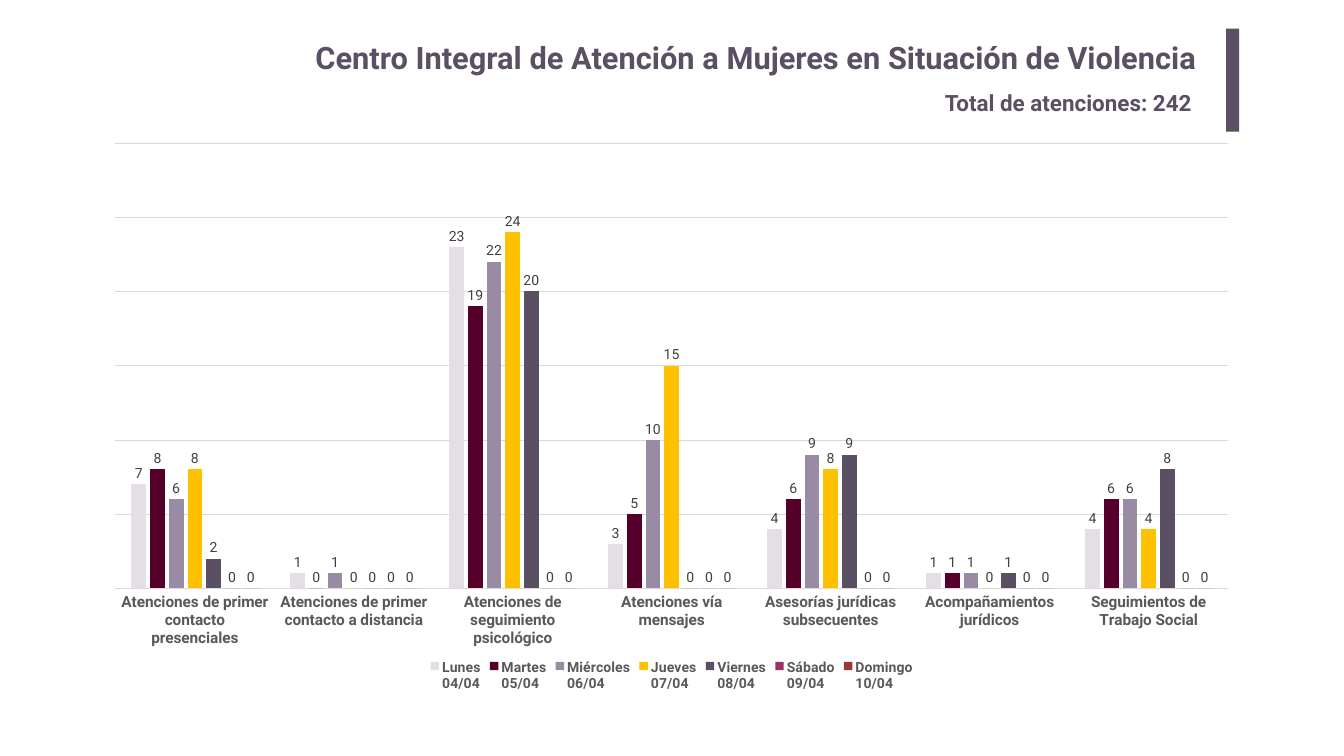
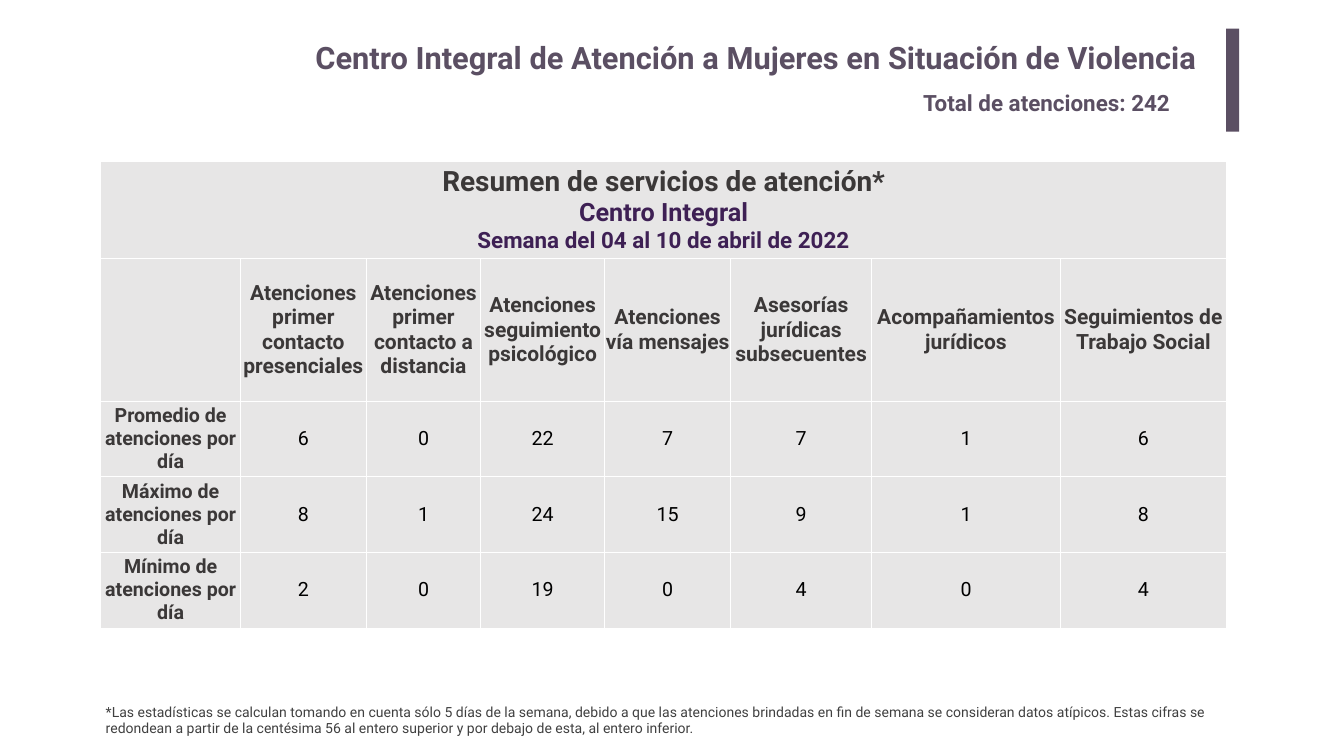
from lxml.etree import SubElement, fromstring
from pptx import Presentation
from pptx.chart.data import CategoryChartData as Data
from pptx.dml.color import RGBColor as Color
from pptx.enum.chart import XL_CHART_TYPE as Kind, XL_LABEL_POSITION as Spot
from pptx.enum.chart import XL_LEGEND_POSITION as Side, XL_TICK_LABEL_POSITION as Label
from pptx.enum.chart import XL_TICK_MARK as Tick
from pptx.enum.shapes import MSO_SHAPE as Shape
from pptx.enum.text import MSO_ANCHOR as Anchor, MSO_AUTO_SIZE as Fit, PP_ALIGN as Align
from pptx.oxml.ns import nsdecls, qn
from pptx.util import Pt

SCALE = 9144
FONT = "Roboto"
PLUM = Color(0x5B, 0x4F, 0x63)
VIOLET = Color(0x3E, 0x20, 0x54)
INK = Color(0x3B, 0x38, 0x38)
BLACK = Color(0, 0, 0)
DARK = Color(0x40, 0x40, 0x40)
GREY = Color(0x59, 0x59, 0x59)
RULE = Color(0xD9, 0xD9, 0xD9)
PALE = Color(0xE7, 0xE6, 0xE6)

TITLE = "Centro Integral de Atención a Mujeres en Situación de Violencia"
TOTAL = "Total de atenciones: 242"
NOTE = ("*Las estadísticas se calculan tomando en cuenta sólo 5 días de la semana, "
        "debido a que las atenciones brindadas en fin de semana se consideran datos "
        "atípicos. Estas cifras se redondean a partir de la centésima 56 al entero "
        "superior y por debajo de esta, al entero inferior.")

GROUPS = ["Atenciones de primer contacto presenciales",
          "Atenciones de primer contacto a distancia",
          "Atenciones de seguimiento psicológico",
          "Atenciones vía mensajes",
          "Asesorías jurídicas subsecuentes",
          "Acompañamientos jurídicos",
          "Seguimientos de Trabajo Social"]
DAYS = [
    ("Lunes\n04/04", (7, 1, 23, 3, 4, 1, 4), Color(0xE3, 0xDF, 0xE5)),
    ("Martes\n05/04", (8, 0, 19, 5, 6, 1, 6), Color(0x54, 0x00, 0x2A)),
    ("Miércoles\n06/04", (6, 1, 22, 10, 9, 1, 6), Color(0x99, 0x8B, 0xA3)),
    ("Jueves\n07/04", (8, 0, 24, 15, 8, 0, 4), Color(0xFF, 0xC0, 0x00)),
    ("Viernes\n08/04", (2, 0, 20, 0, 9, 1, 8), PLUM),
    ("Sábado\n09/04", (0,) * 7, Color(0x99, 0x33, 0x66)),
    ("Domingo\n10/04", (0,) * 7, Color(0x95, 0x37, 0x35)),
]

BANNER = [("Resumen de servicios de atención*", 40, INK, True),
          ("Centro Integral", 36, VIOLET, True),
          ("Semana del 04 al 10 de abril de 2022", 32, VIOLET, True)]
HEADS = ["Atenciones primer contacto presenciales",
         "Atenciones primer contacto a distancia",
         "Atenciones seguimiento psicológico",
         "Atenciones vía mensajes",
         "Asesorías jurídicas subsecuentes",
         "Acompañamientos jurídicos",
         "Seguimientos de Trabajo Social"]
STATS = [("Promedio", (6, 0, 22, 7, 7, 1, 6)),
         ("Máximo", (8, 1, 24, 15, 9, 1, 8)),
         ("Mínimo", (2, 0, 19, 0, 4, 0, 4))]
WIDTHS = [277, 250, 227, 246, 250, 280, 374, 330]
HEIGHTS = [192, 283, 150, 150, 150]


def px(*sizes):
    return [size * SCALE for size in sizes]


def style(font, size, color, bold=False):
    font.name = FONT
    font.size = Pt(size)
    font.bold = bold
    font.color.rgb = color


def write(frame, lines, align):
    for i, (text, *look) in enumerate(lines):
        para = frame.add_paragraph() if i else frame.paragraphs[0]
        para.alignment = align
        run = para.add_run()
        run.text = text
        style(run.font, *look)


def add_text(slide, area, line, align=Align.LEFT, pad=(10, 5), fit=Fit.SHAPE_TO_FIT_TEXT):
    frame = slide.shapes.add_textbox(*px(*area)).text_frame
    frame.word_wrap = True
    frame.auto_size = fit
    frame.margin_left, frame.margin_top = px(*pad)
    frame.margin_right, frame.margin_bottom = px(*pad)
    write(frame, [line], align)


def add_head(slide, left, width):
    add_text(slide, (366, 67, 2030, 102), (TITLE, 44, PLUM, True),
             Align.RIGHT, (20, 10), Fit.NONE)
    bar = slide.shapes.add_shape(Shape.RECTANGLE, *px(2433, 57, 26, 204))
    bar.shadow.inherit = False
    bar.fill.solid()
    bar.fill.fore_color.rgb = PLUM
    bar.line.fill.background()
    add_text(slide, (left, 171, width, 65), (TOTAL, 32, PLUM, True))


def place_plot(chart):
    area = chart._chartSpace.chart.plotArea
    for old in area.findall(qn("c:layout")):
        area.remove(old)
    layout = fromstring(f"<c:layout {nsdecls('c')}/>")
    manual = SubElement(layout, qn("c:manualLayout"))
    for tag, val in (("layoutTarget", "inner"), ("xMode", "edge"), ("yMode", "edge"),
                     ("x", "0.02"), ("y", "0.02"), ("w", "0.96"), ("h", "0.79")):
        SubElement(manual, qn(f"c:{tag}")).set("val", val)
    area.insert(0, layout)


def rule(line):
    line.color.rgb = RULE
    line.width = Pt(0.75)


def add_bars(slide, area):
    data = Data()
    data.categories = GROUPS
    for name, vals, _ in DAYS:
        data.add_series(name, vals)
    chart = slide.shapes.add_chart(Kind.COLUMN_CLUSTERED, *px(*area), data).chart
    style(chart.font, 10, BLACK)
    chart.has_title = False
    chart.has_legend = True
    chart.legend.position = Side.BOTTOM
    chart.legend.include_in_layout = False
    style(chart.legend.font, 20, GREY, True)

    base = chart.category_axis
    base.major_tick_mark = Tick.NONE
    base.tick_label_position = Label.LOW
    style(base.tick_labels.font, 22, GREY, True)
    rule(base.format.line)
    scale = chart.value_axis
    scale.visible = False
    scale.minimum_scale, scale.maximum_scale, scale.major_unit = 0, 30, 5
    rule(scale.major_gridlines.format.line)

    plot = chart.plots[0]
    plot.gap_width, plot.overlap = 219, -27
    plot.vary_by_categories = False
    for bars, (_, _, color) in zip(plot.series, DAYS):
        bars.format.fill.solid()
        bars.format.fill.fore_color.rgb = color
        tags = bars.data_labels
        tags.show_value = True
        tags.position = Spot.OUTSIDE_END
        style(tags.font, 20, DARK)
    place_plot(chart)


def edge(cell):
    props = cell._tc.get_or_add_tcPr()
    for side in "LRTB":
        line = SubElement(props, qn(f"a:ln{side}"), w=str(Pt(1)))
        fill = SubElement(line, qn("a:solidFill"))
        SubElement(fill, qn("a:srgbClr"), val="FFFFFF")


def add_grid(slide, left, top):
    rows = [[BANNER] + [[]] * 7,
            [[]] + [[(head, 30, INK, True)] for head in HEADS]]
    for name, vals in STATS:
        rows.append([[(f"{name} de atenciones por día", 28, INK, True)]]
                    + [[(str(val), 28, BLACK)] for val in vals])
    area = px(left, top, sum(WIDTHS), sum(HEIGHTS))
    table = slide.shapes.add_table(len(HEIGHTS), len(WIDTHS), *area).table
    table.first_row = table.horz_banding = False
    for col, width in zip(table.columns, px(*WIDTHS)):
        col.width = width
    for row, height, lines in zip(table.rows, px(*HEIGHTS), rows):
        row.height = height
        for cell, text in zip(row.cells, lines):
            edge(cell)
            cell.fill.solid()
            cell.fill.fore_color.rgb = PALE
            cell.vertical_anchor = Anchor.MIDDLE
            cell.margin_left = cell.margin_right = 0
            cell.margin_top = cell.margin_bottom = 0
            write(cell.text_frame, text, Align.CENTER)
    table.cell(0, 0).merge(table.cell(0, len(WIDTHS) - 1))


def main():
    deck = Presentation()
    deck.slide_width, deck.slide_height = px(2667, 1500)
    blank = deck.slide_layouts[6]

    slide = deck.slides.add_slide(blank)
    add_head(slide, 1865, 531)
    add_bars(slide, (183, 261, 2300, 1119))

    slide = deck.slides.add_slide(blank)
    add_grid(slide, 200, 321)
    add_head(slide, 1822, 592)
    add_text(slide, (200, 1390, 2233, 77), (NOTE, 20, DARK))

    deck.save("out.pptx")


if __name__ == "__main__":
    main()
